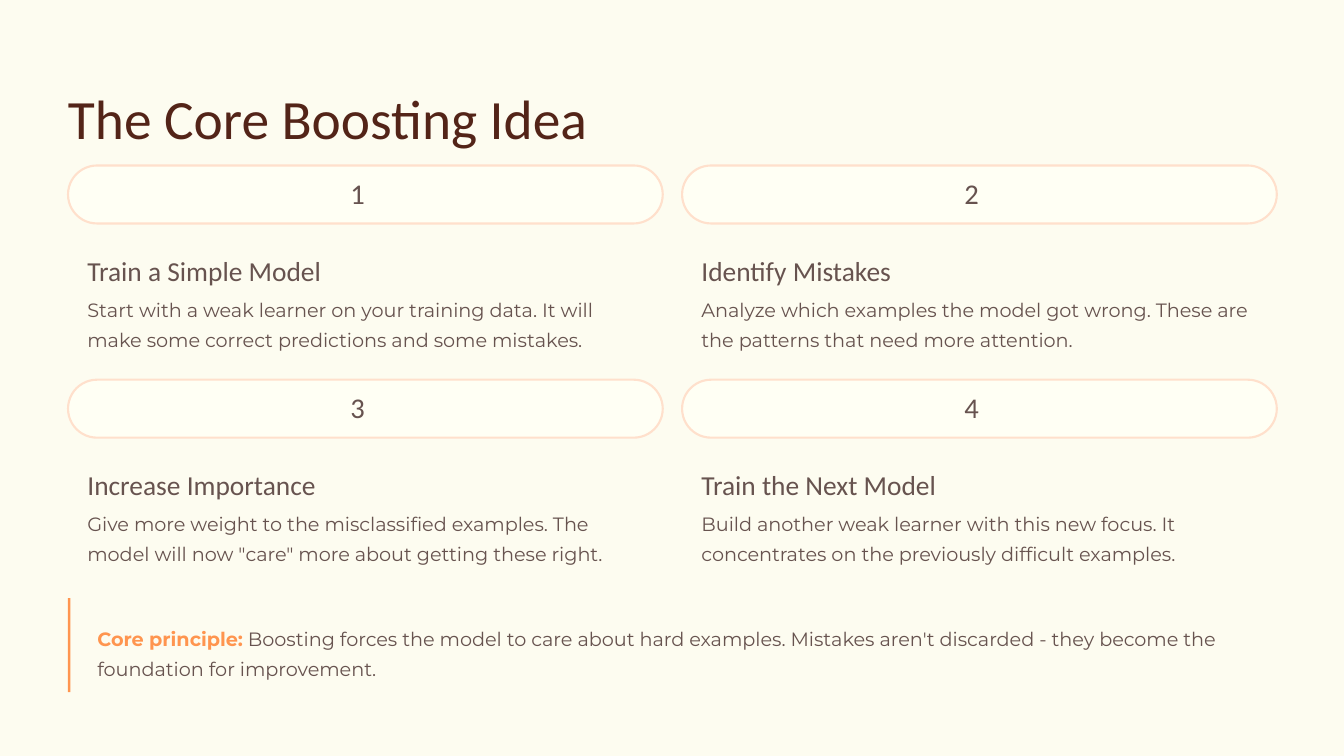
from dataclasses import dataclass

from pptx import Presentation
from pptx.dml.color import RGBColor
from pptx.enum import shapes, text
from pptx.util import Inches, Pt


@dataclass(frozen=True)
class Theme:
    page: str = "FDFCF0"
    pill: str = "FFFFF4"
    edge: str = "FFE0CC"
    title: str = "532418"
    body: str = "67534F"
    accent: str = "FF954F"
    head_font: str = "Calibri"
    body_font: str = "Montserrat"
    title_size: float = 47.5
    num_size: float = 24.5
    head_size: float = 23.5
    body_size: float = 16.5


THEME = Theme()
LEFT, TOP = 0.81, 1.97
COL_STEP, ROW_STEP = 7.31, 2.55

STEPS = [
    ("Train a Simple Model",
     "Start with a weak learner on your training data. "
     "It will make some correct predictions and some mistakes."),
    ("Identify Mistakes",
     "Analyze which examples the model got wrong. "
     "These are the patterns that need more attention."),
    ("Increase Importance",
     "Give more weight to the misclassified examples. "
     "The model will now \"care\" more about getting these right."),
    ("Train the Next Model",
     "Build another weak learner with this new focus. "
     "It concentrates on the previously difficult examples."),
]


def add_text(slide, box, runs, font, size, spacing=1.0):
    label = slide.shapes.add_textbox(*map(Inches, box))
    frame = label.text_frame
    frame.word_wrap = True
    frame.vertical_anchor = text.MSO_ANCHOR.TOP
    frame.margin_left = frame.margin_right = 0
    frame.margin_top = frame.margin_bottom = 0
    para = frame.paragraphs[0]
    para.line_spacing = spacing
    for words, color, bold in runs:
        run = para.add_run()
        run.text = words
        run.font.name = font
        run.font.size = Pt(size)
        run.font.bold = bold
        run.font.color.rgb = RGBColor.from_string(color)


def add_block(slide, kind, box, fill, edge=None):
    block = slide.shapes.add_shape(kind, *map(Inches, box))
    block.shadow.inherit = False
    block.fill.solid()
    block.fill.fore_color.rgb = RGBColor.from_string(fill)
    if edge:
        block.line.color.rgb = RGBColor.from_string(edge)
        block.line.width = Pt(1.8)
    else:
        block.line.fill.background()
    return block


def add_step(slide, index, head, detail):
    row, col = divmod(index, 2)
    x = LEFT + col * COL_STEP
    y = TOP + row * ROW_STEP
    pill = add_block(slide, shapes.MSO_SHAPE.ROUNDED_RECTANGLE,
                     (x, y, 7.08, 0.69), THEME.pill, THEME.edge)
    pill.adjustments[0] = 0.5
    add_text(slide, (x + 3.36, y + 0.12, 0.35, 0.45),
             [(str(index + 1), THEME.body, False)],
             THEME.head_font, THEME.num_size)
    add_text(slide, (x + 0.23, y + 0.93, 3.32, 0.43),
             [(head, THEME.body, False)],
             THEME.head_font, THEME.head_size, 1.32)
    add_text(slide, (x + 0.23, y + 1.5, 6.61, 0.6),
             [(detail, THEME.body, False)],
             THEME.body_font, THEME.body_size, 1.3)


def add_note(slide):
    add_text(slide, (1.16, 7.38, 14.04, 0.6),
             [("Core principle:", THEME.accent, True),
              (" Boosting forces the model to care about hard examples. "
               "Mistakes aren't discarded - they become the foundation "
               "for improvement.", THEME.body, False)],
             THEME.body_font, THEME.body_size, 1.3)
    add_block(slide, shapes.MSO_SHAPE.RECTANGLE,
              (LEFT, 7.12, 0.03, 1.12), THEME.accent)


def main():
    deck = Presentation()
    deck.slide_width, deck.slide_height = Inches(16), Inches(9)
    slide = deck.slides.add_slide(deck.slide_layouts[6])
    slide.background.fill.solid()
    slide.background.fill.fore_color.rgb = RGBColor.from_string(THEME.page)
    add_text(slide, (LEFT, 0.76, 7.07, 0.86),
             [("The Core Boosting Idea", THEME.title, False)],
             THEME.head_font, THEME.title_size, 1.31)
    for index, (head, detail) in enumerate(STEPS):
        add_step(slide, index, head, detail)
    add_note(slide)
    deck.save("out.pptx")


if __name__ == "__main__":
    main()
